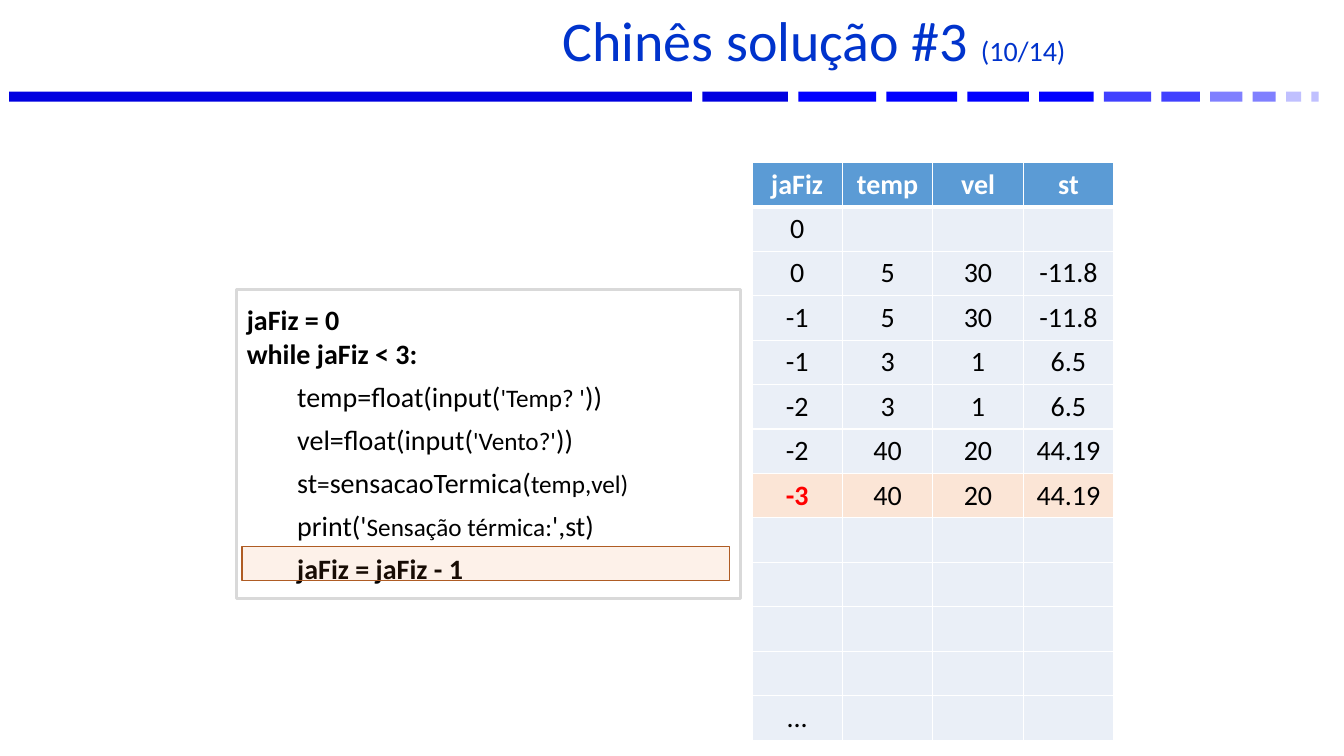
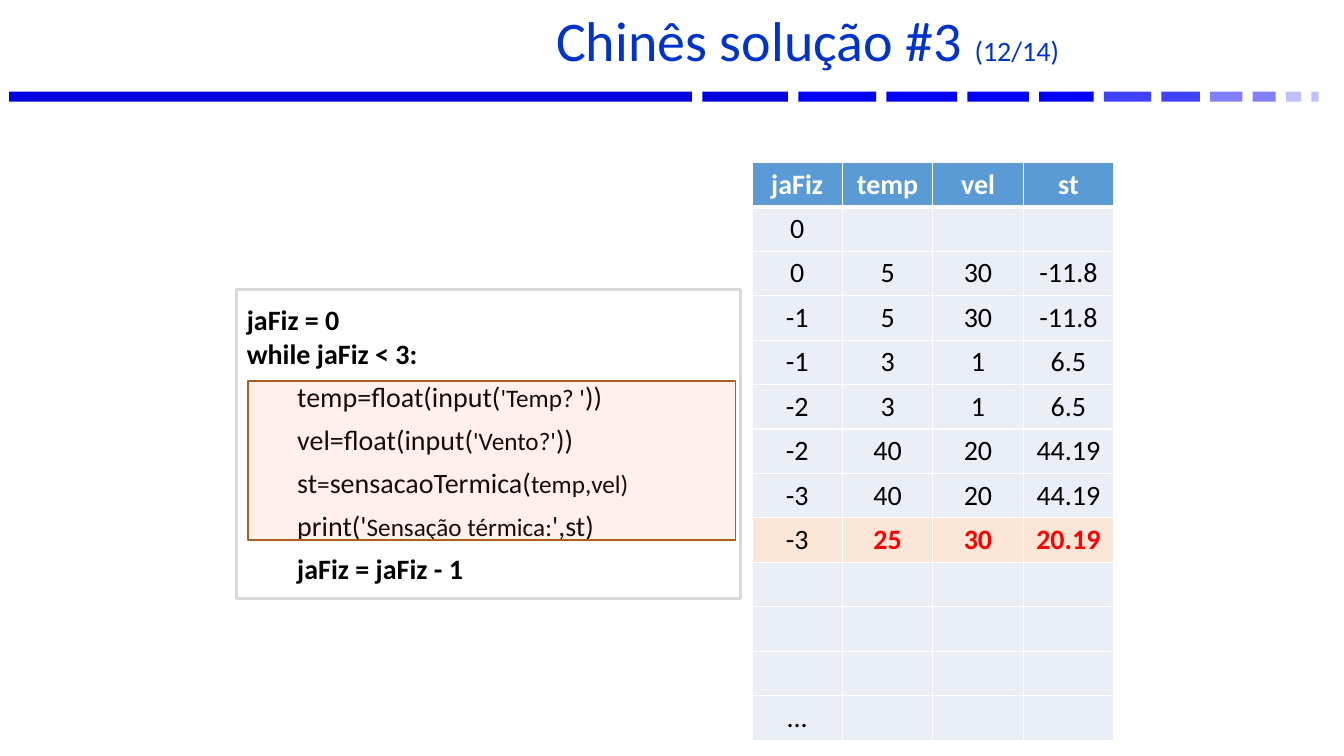
"""Builds the two trace slides of the jaFiz loop."""
from dataclasses import dataclass

from lxml import etree
from pptx import Presentation
from pptx.dml.color import RGBColor
from pptx.enum.shapes import MSO_SHAPE
from pptx.enum.text import MSO_ANCHOR, PP_ALIGN
from pptx.oxml.ns import qn
from pptx.util import Cm, Pt

RECT = MSO_SHAPE.RECTANGLE
MIDDLE = MSO_ANCHOR.MIDDLE
LEFT, CENTER = PP_ALIGN.LEFT, PP_ALIGN.CENTER
TITLE_ONLY = 5


@dataclass(frozen=True)
class Theme:
    """Colours, font and type sizes."""
    font: str = "Calibri"
    title: str = "0033CC"
    text: str = "000000"
    white: str = "FFFFFF"
    frame: str = "D9D9D9"
    header: str = "5B9BD5"
    cell: str = "EAEFF7"
    active: str = "FBE5D6"
    changed: str = "FF0000"
    marker: str = "ED7D31"
    marker_line: str = "AF5C24"
    title_size: int = 40
    body_size: int = 20
    small_size: int = 18


THEME = Theme()
BODY, SMALL = THEME.body_size, THEME.small_size

BAND = [(17.21, "0000E0"), (2.16, "0000E0"), (1.96, "0000FF"), (1.78, "0000FF"),
        (1.55, "0000FF"), (1.37, "0000FF"), (1.19, "4040FF"), (0.97, "4040FF"),
        (0.81, "8080FF"), (0.58, "8080FF"), (0.38, "C0C0FF"), (0.18, "C0C0FF")]

OUTER_CODE = ["jaFiz = 0", "while jaFiz < 3:"]
LOOP_CODE = [
    [("temp=float(input(", BODY), ("'Temp? '", SMALL), ("))", BODY)],
    [("vel=float(input(", BODY), ("'Vento?'", SMALL), ("))", BODY)],
    [("st", BODY), ("=", SMALL), ("sensacaoTermica(", BODY), ("temp,vel)", SMALL)],
    [("print('", BODY), ("Sensação térmica:", SMALL), ("',st)", BODY)],
]
COUNTER_CODE = "jaFiz = jaFiz - 1"

HEADER = ["jaFiz", "temp", "vel", "st"]
STEPS = [
    ["0"],
    ["0", "5", "30", "-11.8"],
    ["-1", "5", "30", "-11.8"],
    ["-1", "3", "1", "6.5"],
    ["-2", "3", "1", "6.5"],
    ["-2", "40", "20", "44.19"],
    ["-3", "40", "20", "44.19"],
    ["-3", "25", "30", "20.19"],
]
ROW_COUNT = 13

SLIDES = [
    {"page": "(10/14)", "shift": 0.64, "steps": 7, "changed": {0},
     "marker": (6.1, 13.77, 12.29, 0.86)},
    {"page": "(12/14)", "shift": 0.32, "steps": 8, "changed": {1, 2, 3},
     "marker": (6.25, 9.6, 12.29, 4.01)},
]


def rgb(value):
    """Turn a hex string into a colour."""
    return RGBColor.from_string(value)


def apply(target, **values):
    """Set attributes from format values."""
    for name, value in values.items():
        setattr(target, name, value)


class Deck:
    """Holds the style and the current slide."""

    def __init__(self, theme):
        """Start a widescreen presentation."""
        self.theme = theme
        self.prs = Presentation()
        apply(self.prs, slide_width=Cm(33.87), slide_height=Cm(19.05))
        self.layout = self.prs.slide_layouts[TITLE_ONLY]
        self.s = None

    def new_slide(self):
        """Add a slide and make it current."""
        self.s = self.prs.slides.add_slide(self.layout)

    def run(self, p, text, size=BODY, color=THEME.text, bold=False):
        """Add a formatted run."""
        r = p.add_run()
        r.text = text
        apply(r.font, name=self.theme.font, size=Pt(size), bold=bold)
        r.font.color.rgb = rgb(color)

    def rect(self, box, fill, line=None, width=1, alpha=None):
        """Add a rectangle, optionally outlined or transparent."""
        sp = self.s.shapes.add_shape(RECT, *map(Cm, box))
        sp.shadow.inherit = False
        sp.fill.solid()
        sp.fill.fore_color.rgb = rgb(fill)
        if alpha:
            clr = sp._element.spPr.find(".//" + qn("a:srgbClr"))
            etree.SubElement(clr, qn("a:alpha")).set("val", str(alpha * 1000))
        if line:
            sp.line.color.rgb = rgb(line)
            sp.line.width = Pt(width)
        else:
            sp.line.fill.background()
        return sp

    def band(self, left=0.23, gap=0.26):
        """Draw the fading band once, in the shared layout."""
        for width, color in BAND:
            sp = self.rect((left, 2.31, width, 0.25), color)
            self.layout.shapes._spTree.append(sp._element)
            left += width + gap

    def title(self, text, page, shift):
        """Fill the title, moved right by half of shift."""
        t = self.theme
        sp = self.s.shapes.title
        apply(sp, left=Cm(6.53), top=Cm(0.15), width=Cm(27.33), height=Cm(1.78))
        tf = sp.text_frame
        apply(tf, word_wrap=True, vertical_anchor=MIDDLE, margin_left=Cm(0.25 + shift),
              margin_right=Cm(0.25), margin_top=Cm(0.34), margin_bottom=Cm(0.13))
        p = tf.paragraphs[0]
        apply(p, alignment=CENTER, line_spacing=0.8, space_before=Pt(0))
        self.run(p, text + " ", t.title_size, t.title)
        self.run(p, page, t.body_size, t.title)

    def code(self):
        """Add the framed program."""
        t = self.theme
        sp = self.rect((5.97, 7.29, 12.7, 7.8), t.white, t.frame, 2)
        tf = sp.text_frame
        apply(tf, word_wrap=True, vertical_anchor=MIDDLE, margin_left=Cm(0.25),
              margin_right=Cm(0.25), margin_top=0, margin_bottom=0)
        lines = [(0, True, [(text, BODY)]) for text in OUTER_CODE]
        lines += [(1, False, runs) for runs in LOOP_CODE]
        lines.append((1, True, [(COUNTER_CODE, BODY)]))
        for i, (level, bold, runs) in enumerate(lines):
            p = tf.add_paragraph() if i else tf.paragraphs[0]
            apply(p, alignment=LEFT, level=level, space_before=Pt(2 * level),
                  line_spacing=1.2 if level else 1.0)
            pPr = p._p.get_or_add_pPr()
            pPr.set("marL", str(Cm(1.27 * level)))
            pPr.set("indent", "0")
            for text, size in runs:
                self.run(p, text, size, bold=bold)

    def cell(self, cell, text, fill, color, bold, top, bottom):
        """Format one table cell with white borders."""
        tcPr = cell._tc.get_or_add_tcPr()
        for side, width in (("L", 1), ("R", 1), ("T", top), ("B", bottom)):
            ln = etree.SubElement(tcPr, qn("a:ln" + side), w=str(Pt(width)))
            solid = etree.SubElement(ln, qn("a:solidFill"))
            etree.SubElement(solid, qn("a:srgbClr"), val=self.theme.white)
        cell.fill.solid()
        cell.fill.fore_color.rgb = rgb(fill)
        cell.vertical_anchor = MIDDLE
        p = cell.text_frame.paragraphs[0]
        p.alignment = CENTER
        if text:
            self.run(p, text, color=color, bold=bold)

    def trace(self, count, changed):
        """Add the trace table with its last step highlighted."""
        t = self.theme
        rows = [HEADER] + STEPS[:count]
        rows += [[]] * (ROW_COUNT - 1 - len(rows)) + [["..."]]
        col_width, row_height = 2.28, 1.12
        frame = self.s.shapes.add_table(
            ROW_COUNT, len(HEADER), Cm(18.95), Cm(4.09),
            Cm(col_width * len(HEADER)), Cm(row_height * ROW_COUNT))
        table = frame.table
        table.horz_banding = False
        for column in table.columns:
            column.width = Cm(col_width)
        for i, values in enumerate(rows):
            table.rows[i].height = Cm(row_height)
            fill = t.header if i == 0 else t.active if i == count else t.cell
            for j in range(len(HEADER)):
                hot = i == count and j in changed
                color = t.white if i == 0 else t.changed if hot else t.text
                self.cell(table.cell(i, j), values[j] if j < len(values) else "",
                          fill, color, i == 0 or hot,
                          3 if i == 1 else 1, 3 if i == 0 else 1)

    def marker(self, box):
        """Mark the lines being executed."""
        self.rect(box, self.theme.marker, self.theme.marker_line, alpha=10)


def main():
    """Build and save the slides."""
    deck = Deck(THEME)
    for i, slide in enumerate(SLIDES):
        deck.new_slide()
        if i == 0:
            deck.band()
        deck.trace(slide["steps"], slide["changed"])
        deck.title("Chinês solução #3", slide["page"], slide["shift"])
        deck.code()
        deck.marker(slide["marker"])
    deck.prs.save("out.pptx")


if __name__ == "__main__":
    main()
